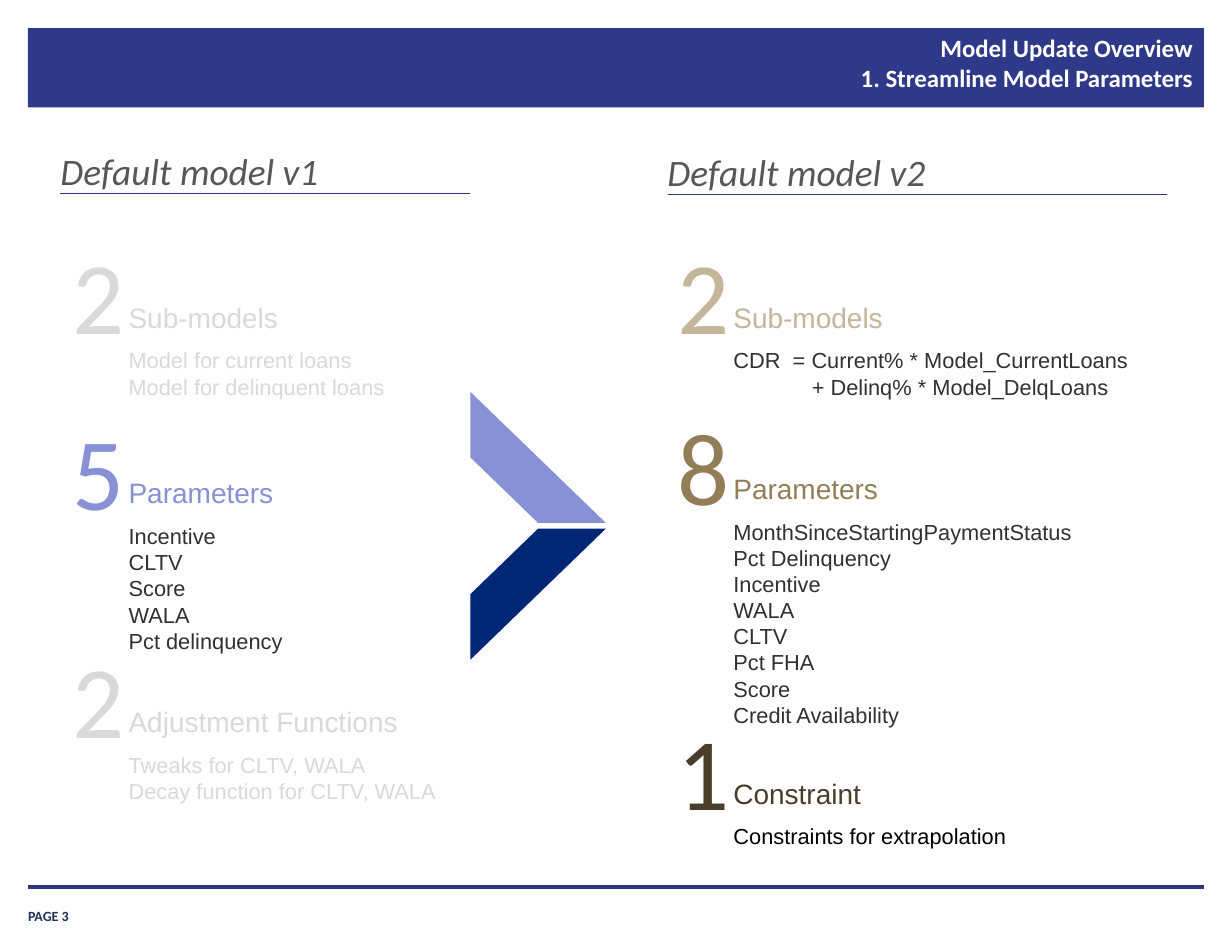
import pptx
import pptx.dml.color
import pptx.enum.shapes
import pptx.enum.text
import pptx.util
from lxml import etree

Inches = pptx.util.Inches
Pt = pptx.util.Pt
RGB = pptx.dml.color.RGBColor
Shape = pptx.enum.shapes.MSO_SHAPE
Align = pptx.enum.text.PP_ALIGN
Anchor = pptx.enum.text.MSO_ANCHOR
Fit = pptx.enum.text.MSO_AUTO_SIZE

BAND = RGB(0x2E, 0x39, 0x8A)
RULE = RGB(0x2B, 0x36, 0x89)
NAVY = RGB(0x00, 0x27, 0x76)
LILAC = RGB(0x88, 0x91, 0xD5)
FOOT = RGB(0x20, 0x33, 0x53)
GRAY = RGB(0x57, 0x57, 0x57)
PALE = RGB(0xD9, 0xD9, 0xD9)
INK = RGB(0x31, 0x31, 0x31)
SAND = RGB(0xC4, 0xB5, 0x9B)
TAN = RGB(0x93, 0x7D, 0x57)
BROWN = RGB(0x49, 0x3E, 0x2B)
BLACK = RGB(0, 0, 0)
WHITE = RGB(0xFF, 0xFF, 0xFF)

STYLES = {
    "title": {"name": "Calibri", "size": Pt(16), "bold": True},
    "head": {"name": "Calibri", "size": Pt(24), "italic": True},
    "count": {"name": "Calibri", "size": Pt(66)},
    "label": {"name": "Arial", "size": Pt(18)},
    "list": {"name": "Arial", "size": Pt(14)},
    "foot": {"name": "Calibri", "size": Pt(9), "bold": True},
}
PAD = (0.1, 0.05)
NONE = (0, 0)


class Deck:
    def __init__(self, wide, high):
        self.show = pptx.Presentation()
        self.show.slide_width = Inches(wide)
        self.show.slide_height = Inches(high)
        self.slide = self.show.slides.add_slide(self.show.slide_layouts[5])
        self.shapes = self.slide.shapes

    def fill_text(self, shape, lines, style, color, pad, align, anchor):
        frame = shape.text_frame
        side, edge = map(Inches, pad)
        setup = {
            "word_wrap": True, "auto_size": Fit.NONE, "vertical_anchor": anchor,
            "margin_left": side, "margin_right": side,
            "margin_top": edge, "margin_bottom": edge,
        }
        for key, value in setup.items():
            setattr(frame, key, value)
        frame.text = "\n".join(lines)
        for para in frame.paragraphs:
            para.alignment = align
            for key, value in STYLES[style].items():
                setattr(para.font, key, value)
            para.font.color.rgb = color
        return frame

    def text(self, box, lines, style, color, pad=PAD, align=Align.LEFT, anchor=Anchor.TOP):
        shape = self.shapes.add_textbox(*map(Inches, box))
        return self.fill_text(shape, lines, style, color, pad, align, anchor)

    def title(self, box, text):
        shape = self.shapes.title
        shape.left, shape.top, shape.width, shape.height = map(Inches, box)
        self.fill_text(shape, [text], "title", WHITE, (0.11, 0.05), Align.RIGHT, Anchor.TOP)

    def block(self, kind, box, color, flip=False):
        shape = self.shapes.add_shape(kind, *map(Inches, box))
        shape.shadow.inherit = False
        shape.fill.solid()
        shape.fill.fore_color.rgb = color
        shape.line.fill.background()
        if flip:
            shape.element.spPr.xfrm.set("flipV", "1")
        return shape

    def rule(self, left, right, top, weight):
        line = self.shapes.add_connector(
            pptx.enum.shapes.MSO_CONNECTOR.STRAIGHT,
            Inches(left), Inches(top), Inches(right), Inches(top))
        line.line.color.rgb = RULE
        line.line.width = Pt(weight)
        etree.SubElement(line.element.spPr, pptx.oxml.ns.qn("a:effectLst"))

    def head(self, left, right, top, text):
        self.text((left, top, 5.56, 0.4), [text], "head", GRAY, NONE)
        self.rule(left, right, top + 0.41, 0.75)

    def group(self, left, top, count, label, color, lines, ink, wide=2.96):
        self.text((left, top, 0.4, 1.11), [count], "count", color, NONE, Align.CENTER)
        left += 0.4
        self.text((left, top + 0.56, 2.96, 0.4), [label], "label", color)
        high = 0.1 + 0.24 * len(lines)
        return self.text((left, top + 0.98, wide, high), lines, "list", ink)


def main():
    deck = Deck(11, 8.5)
    band = deck.block(Shape.RECTANGLE, (0.25, 0.25, 10.5, 0.71), BAND)
    deck.shapes.title.element.addprevious(band.element)
    deck.title((3.32, 0.24, 7.44, 0.74),
               "Model Update Overview\v1. Streamline Model Parameters")
    deck.rule(0.25, 10.75, 7.92, 2)
    deck.text((0.25, 8.02, 0.91, 0.23), ["PAGE 3"], "foot", FOOT, NONE, anchor=Anchor.BOTTOM)

    deck.head(0.54, 4.2, 1.32, "Default model v1")
    deck.head(5.96, 10.42, 1.33, "Default model v2")

    deck.block(Shape.DIAGONAL_STRIPE, (4.2, 3.5, 1.21, 1.17), LILAC, flip=True)
    deck.block(Shape.DIAGONAL_STRIPE, (4.2, 4.72, 1.21, 1.17), NAVY)

    old, new = 0.65, 6.05
    deck.group(old, 2.07, "2", "Sub-models", PALE,
               ["Model for current loans", "Model for delinquent loans"], PALE)
    deck.group(old, 3.64, "5", "Parameters", LILAC,
               ["Incentive", "CLTV", "Score", "WALA", "Pct delinquency"], INK)
    deck.group(old, 5.68, "2", "Adjustment Functions", PALE,
               ["Tweaks for CLTV, WALA", "Decay function for CLTV, WALA"], PALE)

    sums = deck.group(new, 2.07, "2", "Sub-models", SAND,
                      ["CDR  = Current% * Model_CurrentLoans",
                       "+ Delinq% * Model_DelqLoans"], INK, 3.97)
    sums.paragraphs[1].font._element.getparent().set("marL", str(Inches(0.7)))
    deck.group(new, 3.6, "8", "Parameters", TAN,
               ["MonthSinceStartingPaymentStatus", "Pct Delinquency", "Incentive", "WALA",
                "CLTV", "Pct FHA", "Score", "Credit Availability"], INK, 3.24)
    deck.group(new, 6.32, "1", "Constraint", BROWN, ["Constraints for extrapolation"], BLACK)

    deck.show.save("out.pptx")


if __name__ == "__main__":
    main()
